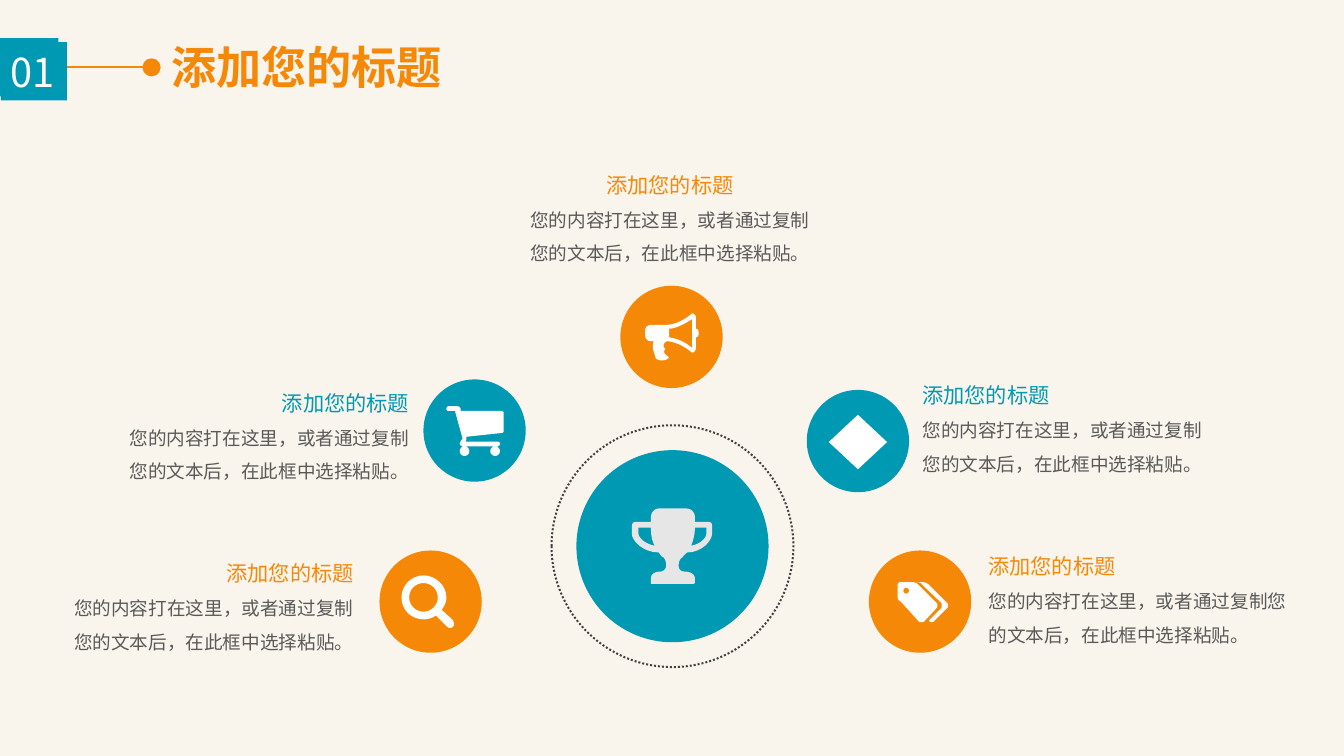
import math

from lxml import etree
from pptx import Presentation
from pptx import util as u
from pptx.dml.color import RGBColor
from pptx.enum import dml, shapes, text
from pptx.oxml.ns import qn

PX = 9144
FONT = "Noto Sans CJK SC"
ORANGE, TEAL, WHITE = "F68808", "0099B4", "FFFFFF"
GREY, CREAM, SILVER, DARK = "595959", "FAF5EC", "E7E6E6", "404040"
HEADING = "添加您的标题"
BODY = "您的内容打在这里，或者通过复制您的文本后，在此框中选择粘贴。"
LEFT, CENTER, RIGHT = text.PP_ALIGN.LEFT, text.PP_ALIGN.CENTER, text.PP_ALIGN.RIGHT
DISC = 107


def circle(x, y, radius):
    """Return a closed outline of points around a centre."""
    turns = [math.tau * step / 32 for step in range(32)]
    return [(x + radius * math.cos(turn), y + radius * math.sin(turn)) for turn in turns]


MAGNIFIER = [
    [(74, 81), (72, 81, 71, 80, 70, 79), (59, 68), (56, 70, 52, 72, 46, 72),
     (33, 72, 23, 62, 23, 49), (23, 37, 33, 26, 46, 26), (59, 26, 70, 37, 70, 49),
     (70, 54, 68, 58, 65, 62), (77, 73), (77, 74, 78, 76, 78, 77), (78, 79, 76, 81, 74, 81)],
    circle(46, 49, 15),
]
CART = [
    [(84, 54), (84, 55, 83, 56, 82, 56), (45, 60), (45, 63), (44, 65), (77, 65),
     (79, 65, 80, 66, 80, 67), (80, 69, 79, 70, 77, 70), (41, 70), (40, 70, 38, 69, 38, 67),
     (38, 66, 40, 63, 41, 62), (33, 33), (26, 33), (25, 33, 24, 32, 24, 31),
     (24, 30, 25, 28, 26, 28), (35, 28), (39, 28, 39, 31, 39, 33), (82, 33),
     (83, 33, 84, 34, 84, 35)],
    circle(43, 75, 5),
    circle(75, 75, 5),
]
MEGAPHONE = [
    [(82, 50), (82, 52, 81, 54, 79, 54), (79, 65), (79, 68, 77, 70, 75, 70),
     (69, 65, 60, 59, 49, 58), (45, 59, 44, 64, 47, 66), (44, 70, 47, 72, 51, 75),
     (48, 79, 40, 79, 37, 76), (36, 70, 32, 65, 35, 58), (32, 58), (28, 58, 26, 55, 26, 52),
     (26, 46), (26, 44, 28, 41, 32, 41), (47, 41), (58, 41, 68, 35, 75, 29),
     (77, 29, 79, 31, 79, 33), (79, 45), (81, 45, 82, 47, 82, 50)],
    [(75, 35), (67, 40, 58, 45, 51, 45), (51, 54), (58, 55, 67, 58, 75, 65)],
]
TAGS = [
    [(71, 60), (58, 74), (57, 75, 56, 75, 55, 75), (54, 75, 53, 75, 52, 74), (33, 53),
     (31, 53, 30, 50, 30, 47), (30, 36), (30, 34, 32, 33, 33, 33), (45, 33),
     (47, 33, 50, 34, 51, 35), (71, 55), (72, 56, 72, 59, 71, 60)],
    circle(39, 42, 3),
    [(82, 60), (68, 74), (68, 75, 66, 75, 66, 75), (64, 75, 63, 74, 63, 73), (76, 60),
     (76, 55), (55, 35), (55, 34, 52, 33, 50, 33), (56, 33), (58, 33, 60, 34, 62, 35),
     (82, 55), (83, 56, 83, 59, 82, 60)],
]
TROPHY = [
    [(142, 87), (142, 95, 131, 107, 116, 107), (113, 109, 111, 112, 111, 112),
     (108, 114, 107, 117, 107, 121), (107, 123, 108, 127, 113, 127),
     (118, 127, 124, 129, 124, 134), (124, 138), (124, 140, 122, 140, 122, 140), (79, 140),
     (78, 140, 78, 140, 78, 138), (78, 134), (78, 129, 83, 127, 88, 127),
     (92, 127, 94, 123, 94, 121), (94, 117, 93, 114, 91, 112), (89, 112, 88, 109, 86, 107),
     (70, 107, 58, 95, 58, 87), (58, 80), (58, 76, 60, 75, 63, 75), (78, 75), (78, 70),
     (78, 65, 82, 61, 86, 61), (115, 61), (120, 61, 124, 65, 124, 70), (124, 75), (137, 75),
     (141, 75, 142, 76, 142, 80)],
    [(78, 81), (65, 81), (65, 87), (65, 92, 72, 98, 82, 100), (79, 95, 78, 89, 78, 81)],
    [(136, 81), (124, 81), (124, 89, 122, 95, 120, 100), (130, 98, 136, 92, 136, 87)],
]
TOPICS = [
    ((844, 408), (951, 380, 331, 125), LEFT, TEAL, None),
    ((649, 299), (538, 160, 326, 125), CENTER, ORANGE, MEGAPHONE),
    ((443, 397), (105, 388, 337, 125), RIGHT, TEAL, CART),
    ((397, 576), (57, 566, 327, 125), RIGHT, ORANGE, MAGNIFIER),
    ((909, 576), (1020, 559, 345, 125), LEFT, ORANGE, TAGS),
]


def color(value):
    """Turn a hex string into a colour."""
    return RGBColor.from_string(value)


def lengths(*values):
    """Turn px into EMU."""
    return [u.Emu(round(value * PX)) for value in values]


def write(para, words, size=14, fill=GREY, bold=False, align=LEFT, spacing=1.0):
    """Write formatted words into a paragraph."""
    para.alignment = align
    para.line_spacing = spacing
    span = para.add_run()
    span.text = words
    span.font.size = u.Pt(size)
    span.font.bold = bold
    span.font.color.rgb = color(fill)
    span.font.name = FONT
    latin = span.font._element.find(qn("a:latin"))
    east = etree.Element(qn("a:ea"), typeface=FONT)
    latin.addnext(east)


def frame_of(shape, insets, wrap, anchor):
    """Set up the text frame of a shape and return it."""
    frame = shape.text_frame
    frame.word_wrap = wrap
    frame.auto_size = text.MSO_AUTO_SIZE.NONE
    frame.vertical_anchor = anchor
    side, edge = lengths(*insets)
    frame.margin_left = frame.margin_right = side
    frame.margin_top = frame.margin_bottom = edge
    return frame


def paint(shape, fill):
    """Give a shape a plain fill without line or shadow."""
    shape.shadow.inherit = False
    shape.fill.solid()
    shape.fill.fore_color.rgb = color(fill)
    shape.line.fill.background()
    return shape


def add_preset(page, kind, box, fill):
    """Add a filled preset shape in a box."""
    return paint(page.shapes.add_shape(kind, *lengths(*box)), fill)


def flatten(outline):
    """Turn points and cubic segments into plain points."""
    points = []
    for step in outline:
        if len(step) == 2:
            points.append(step)
            continue
        knots = [points[-1], step[:2], step[2:4], step[4:]]
        for part in range(1, 9):
            t = part / 8
            weights = ((1 - t) ** 3, 3 * t * (1 - t) ** 2, 3 * t * t * (1 - t), t ** 3)
            points.append(tuple(sum(w * knot[axis] for w, knot in zip(weights, knots))
                                for axis in (0, 1)))
    return points


def add_icon(page, left, top, outlines, fill):
    """Add an icon placed from the corner of its disc."""
    builder = None
    for outline in outlines:
        points = [lengths(left + x, top + y) for x, y in flatten(outline)]
        if builder is None:
            builder = page.shapes.build_freeform(*points[0], scale=1.0)
        else:
            builder.move_to(*points[0])
        builder.add_line_segments(points[1:], close=True)
    paint(builder.convert_to_shape(), fill)


def add_header(page, left, top):
    """Add the number, the line with its dot and the title."""
    middle = top + 30
    ends = lengths(left, middle, left + 156, middle)
    line = page.shapes.add_connector(shapes.MSO_CONNECTOR.STRAIGHT, *ends)
    line.line.color.rgb = color(ORANGE)
    line.line.width = u.Pt(1)
    etree.SubElement(line._element.spPr, qn("a:effectLst"))
    add_preset(page, shapes.MSO_SHAPE.OVAL, (left + 149, middle - 9, 19, 19), ORANGE)
    add_preset(page, shapes.MSO_SHAPE.RECTANGLE, (left, top, 61, 61), TEAL)
    number = add_preset(page, shapes.MSO_SHAPE.RECTANGLE, (left + 1, top + 4, 69, 61), TEAL)
    frame = frame_of(number, (10, 5), False, text.MSO_ANCHOR.MIDDLE)
    write(frame.paragraphs[0], "01", size=30, fill=WHITE)
    title = page.shapes.title
    title.left, title.top, title.width, title.height = lengths(left + 168, top - 4, 307, 68)
    frame = frame_of(title, (11, 5), False, text.MSO_ANCHOR.MIDDLE)
    write(frame.paragraphs[0], HEADING, size=34, fill=ORANGE, bold=True)


def add_topic(page, corner, box, align, accent, icon):
    """Add a disc with its icon and the note beside it."""
    left, top = corner
    add_preset(page, shapes.MSO_SHAPE.OVAL, (left, top, DISC, DISC), accent)
    if icon:
        add_icon(page, left, top, icon, WHITE)
    else:
        add_preset(page, shapes.MSO_SHAPE.DIAMOND, (left + 23, top + 26, 61, 57), WHITE)
    note = page.shapes.add_textbox(*lengths(*box))
    frame = frame_of(note, (14, 7), True, text.MSO_ANCHOR.TOP)
    write(frame.paragraphs[0], HEADING, size=16, fill=accent, align=align, spacing=1.5)
    write(frame.add_paragraph(), BODY, align=align, spacing=1.5)


def add_center(page, left, top, size):
    """Add the trophy disc inside its dotted ring."""
    gap = 26
    core = size - 2 * gap
    add_preset(page, shapes.MSO_SHAPE.OVAL, (left + gap, top + gap, core, core), TEAL)
    add_icon(page, left + gap, top + gap, TROPHY, SILVER)
    ring = add_preset(page, shapes.MSO_SHAPE.OVAL, (left, top, size, size), TEAL)
    ring.fill.background()
    ring.line.color.rgb = color(DARK)
    ring.line.width = u.Pt(1.5)
    ring.line.dash_style = dml.MSO_LINE.ROUND_DOT


def main():
    """Build the deck and save it."""
    deck = Presentation()
    deck.slide_width, deck.slide_height = lengths(1406, 791)
    page = deck.slides.add_slide(deck.slide_layouts[5])
    page.background.fill.solid()
    page.background.fill.fore_color.rgb = color(CREAM)
    add_header(page, 0, 40)
    for topic in TOPICS:
        add_topic(page, *topic)
    add_center(page, 577, 445, 253)
    deck.save("out.pptx")


if __name__ == "__main__":
    main()
